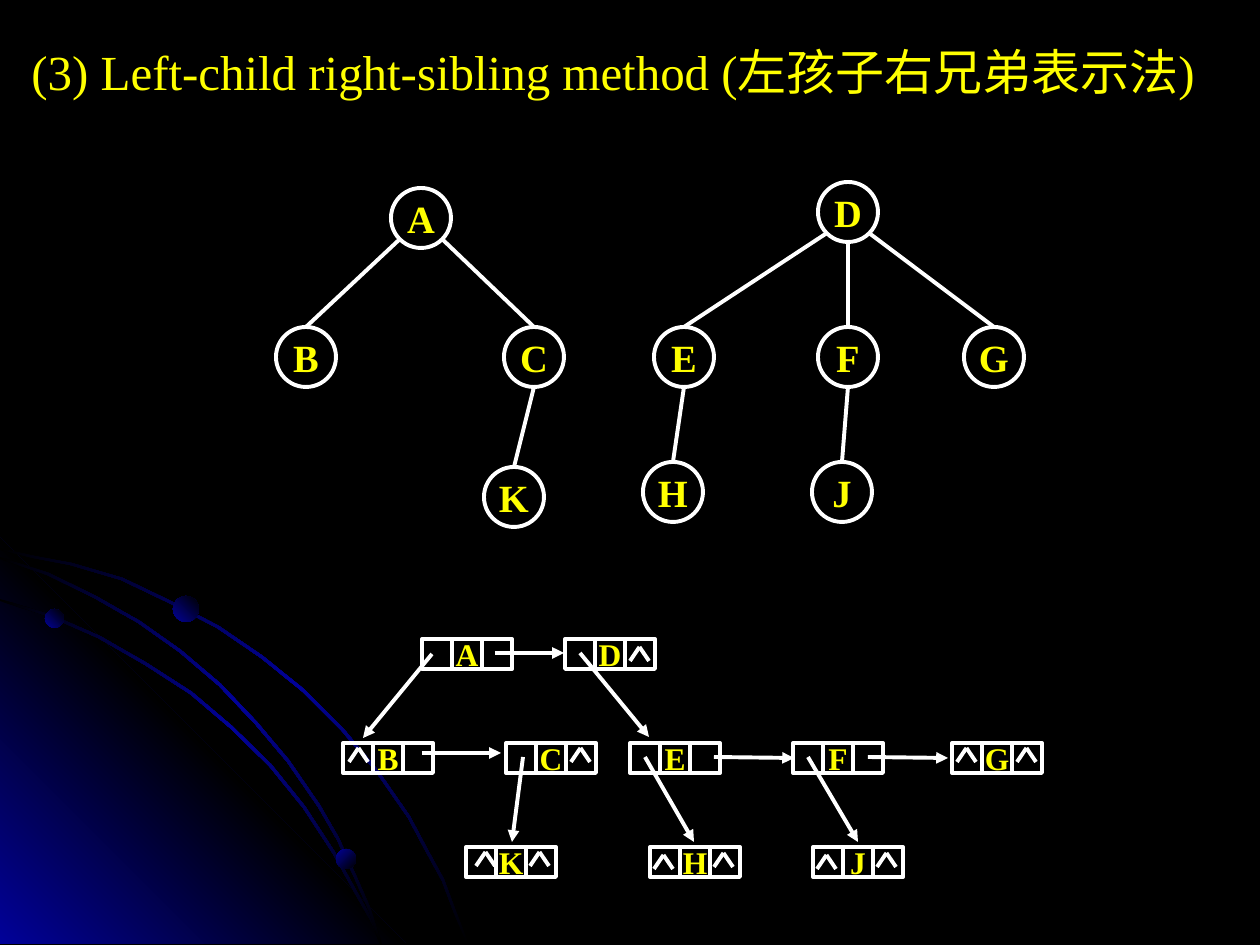
from copy import deepcopy

from lxml import etree
from pptx import Presentation
from pptx.dml.color import RGBColor
from pptx.enum.shapes import MSO_CONNECTOR, MSO_SHAPE
from pptx.enum.text import MSO_ANCHOR, PP_ALIGN
from pptx.oxml.ns import qn
from pptx.util import Pt

RECTANGLE, ELLIPSE = MSO_SHAPE.RECTANGLE, MSO_SHAPE.OVAL
STRAIGHT = MSO_CONNECTOR.STRAIGHT
MIDDLE, CENTER = MSO_ANCHOR.MIDDLE, PP_ALIGN.CENTER

SCALE = 914400 / 126
FONT = "Times New Roman"
BLACK, BLUE, WHITE, YELLOW = "000000", "010199", "FFFFFF", "FFFF00"
LINE_WIDTH = 2.25
NODE, DIAGONAL = 60, 21
CELL = 30
CARET_WIDTH, CARET_HEIGHT = 19, 14
BACKDROP_SIZE = 406

ORBITS = [
    [(0, 10), (35, 18), (72, 25), (123, 40), (171, 63), (219, 88), (263, 118),
     (305, 152), (343, 190), (378, 232), (410, 278), (427, 310), (444, 341),
     (456, 373), (469, 406)],
    [(0, 61), (52, 77), (100, 98), (147, 125), (192, 154), (232, 188), (271, 226),
     (305, 268), (335, 314), (360, 359), (373, 382), (382, 406)],
    [(0, 19), (49, 35), (96, 58), (140, 83), (181, 112), (221, 146), (257, 184),
     (289, 222), (320, 267), (339, 300), (355, 335), (370, 369), (382, 406)],
]
PLANETS = [(45, 71, 19, 315), (336, 311, 20, 45), (173, 58, 26, 315)]

LEFT_NODES = {"A": (115, 0), "B": (0, 139), "C": (228, 139), "K": (208, 279)}
LEFT_EDGES = [("A", "B", -1), ("A", "C", 1), ("C", "K", 0)]
RIGHT_NODES = {"D": (175, 0), "E": (11, 145), "F": (175, 145), "G": (321, 145),
               "H": (0, 280), "J": (169, 280)}
RIGHT_EDGES = [("D", "E", -1), ("D", "F", 0), ("D", "G", 1), ("E", "H", 0), ("F", "J", 0)]

RECORDS = [
    ("A", 79, 0, []),
    ("D", 222, 0, [(65, 8)]),
    ("B", 0, 104, [(6, 5)]),
    ("C", 163, 104, [(65, 5)]),
    ("E", 287, 104, []),
    ("F", 450, 104, []),
    ("G", 609, 104, [(5, 5), (65, 5)]),
    ("K", 123, 208, [(10, 5), (64, 5)]),
    ("H", 307, 208, [(4, 8), (64, 6)]),
    ("J", 470, 208, [(4, 8), (64, 6)]),
]
POINTERS = [
    (89, 15, 20, 99), (152, 14, 221, 14), (237, 14, 306, 98),
    (79, 114, 158, 114), (371, 118, 451, 119), (525, 118, 605, 119),
    (180, 118, 169, 203), (302, 118, 351, 203), (465, 118, 515, 203),
]


def px(value):
    return round(value * SCALE)


def color(value):
    return RGBColor.from_string(value)


def add_text(paragraph, text, size, bold=False):
    run = paragraph.add_run()
    run.text = text
    run.font.name = FONT
    run.font.size = Pt(size)
    run.font.bold = bold
    run.font.color.rgb = color(YELLOW)


def fill_gradient(shape, colors, angle):
    shape.shadow.inherit = False
    shape.line.fill.background()
    shape.fill.gradient()
    shape.fill.gradient_angle = 360 - angle
    stop_list = shape._element.spPr.find(".//" + qn("a:gsLst"))
    while len(stop_list) < len(colors):
        stop_list.append(deepcopy(stop_list[0]))
    for index, stop in enumerate(shape.fill.gradient_stops):
        stop.color.rgb = color(colors[index])
        stop.position = index / (len(colors) - 1)


def add_outline(slide, left, top, points):
    placed = [(left + x, top + y) for x, y in points]
    builder = slide.shapes.build_freeform(*placed[0], scale=SCALE)
    builder.add_line_segments(placed[1:], close=True)
    return builder.convert_to_shape()


def add_framed_shape(slide, kind, left, top, size, text="", font_size=18):
    shape = slide.shapes.add_shape(kind, px(left), px(top), px(size), px(size))
    shape.shadow.inherit = False
    shape.fill.background()
    shape.line.color.rgb = color(WHITE)
    shape.line.width = Pt(LINE_WIDTH)
    if text:
        frame = shape.text_frame
        frame.margin_left = frame.margin_right = frame.margin_top = frame.margin_bottom = 0
        frame.word_wrap = False
        frame.vertical_anchor = MIDDLE
        paragraph = frame.paragraphs[0]
        paragraph.alignment = CENTER
        add_text(paragraph, text, font_size, bold=True)


def add_line(slide, x1, y1, x2, y2, arrow=False):
    line = slide.shapes.add_connector(STRAIGHT, px(x1), px(y1), px(x2), px(y2))
    line.line.color.rgb = color(WHITE)
    line.line.width = Pt(LINE_WIDTH)
    properties = line._element.spPr
    if arrow:
        etree.SubElement(properties.find(qn("a:ln")), qn("a:tailEnd"), type="triangle")
    etree.SubElement(properties, qn("a:effectLst"))


def draw_backdrop(slide, left, top):
    corner = [(0, 0), (BACKDROP_SIZE, BACKDROP_SIZE), (0, BACKDROP_SIZE)]
    fill_gradient(add_outline(slide, left, top, corner), [BLUE, BLACK, BLUE], 315)
    for upper in ORBITS:
        lower = [(max(x - 2, 0), min(y + 2, BACKDROP_SIZE)) for x, y in reversed(upper)]
        band = add_outline(slide, left, top, upper + lower)
        fill_gradient(band, [BLACK, BLUE, BLACK], 45)
    for x, y, size, angle in PLANETS:
        planet = slide.shapes.add_shape(ELLIPSE, px(left + x), px(top + y), px(size), px(size))
        fill_gradient(planet, [BLUE, BLACK], angle)


def draw_title(slide, left, top, width, height):
    box = slide.shapes.add_textbox(px(left), px(top), px(width), px(height))
    box.text_frame.word_wrap = True
    add_text(box.text_frame.paragraphs[0],
             "(3) Left-child right-sibling method (左孩子右兄弟表示法)", 28)


def draw_tree(slide, left, top, nodes, edges):
    for name, (x, y) in nodes.items():
        add_framed_shape(slide, ELLIPSE, left + x, top + y, NODE, name, 22)
    radius = NODE // 2
    for parent, child, side in edges:
        parent_x, parent_y = nodes[parent]
        child_x, child_y = nodes[child]
        drop = DIAGONAL if side else radius
        add_line(slide, left + parent_x + radius + side * DIAGONAL,
                 top + parent_y + radius + drop,
                 left + child_x + radius, top + child_y)


def draw_record(slide, left, top, name, carets):
    for index, text in enumerate(["", name, ""]):
        add_framed_shape(slide, RECTANGLE, left + index * CELL, top, CELL, text)
    for x, y in carets:
        start, peak = left + x, left + x + CARET_WIDTH / 2
        base = top + y + CARET_HEIGHT
        add_line(slide, start, base, peak, top + y)
        add_line(slide, peak, top + y, start + CARET_WIDTH, base)


def draw_linked_records(slide, left, top):
    for name, x, y, carets in RECORDS:
        draw_record(slide, left + x, top + y, name, carets)
    for x1, y1, x2, y2 in POINTERS:
        add_line(slide, left + x1, top + y1, left + x2, top + y2, arrow=True)


def main():
    presentation = Presentation()
    presentation.slide_width, presentation.slide_height = px(1260), px(945)
    slide = presentation.slides.add_slide(presentation.slide_layouts[6])
    slide.background.fill.solid()
    slide.background.fill.fore_color.rgb = color(BLACK)
    draw_backdrop(slide, 0, 538)
    draw_linked_records(slide, 343, 639)
    draw_title(slide, 19, 35, 1202, 72)
    draw_tree(slide, 276, 188, LEFT_NODES, LEFT_EDGES)
    draw_tree(slide, 643, 182, RIGHT_NODES, RIGHT_EDGES)
    presentation.save("out.pptx")


if __name__ == "__main__":
    main()
